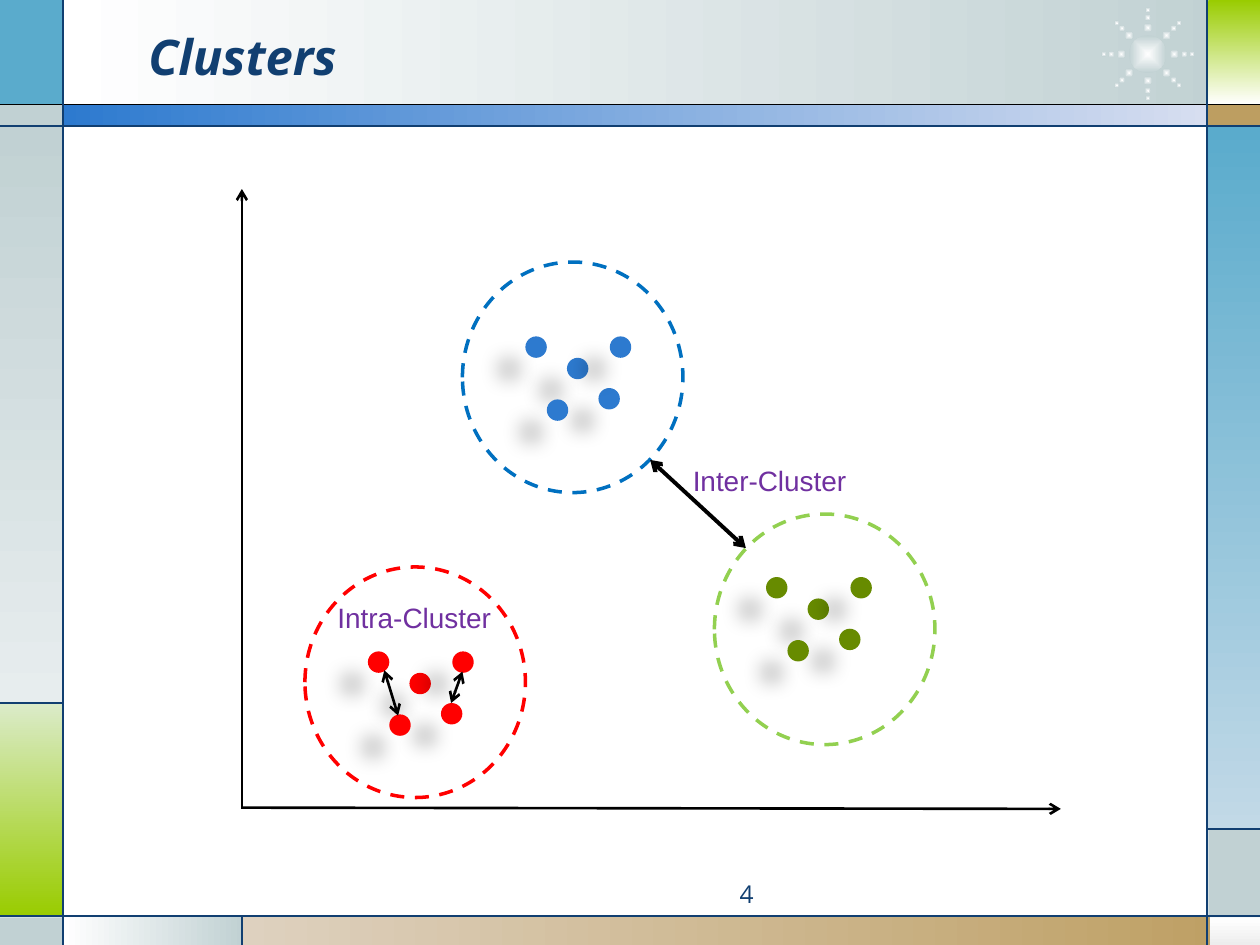
import math
from lxml import etree
from pptx import Presentation
from pptx.dml.color import RGBColor
from pptx.enum import dml, shapes, text
from pptx.oxml import ns
from pptx.util import Inches, Pt

presentation = Presentation()
presentation.slide_width, presentation.slide_height = Inches(10), Inches(7.5)
slide = presentation.slides.add_slide(presentation.slide_layouts[6])

NAVY, BLACK, PURPLE = "113F71", "000000", "7030A0"
WHITE, GREY = "FFFFFF", "C1D1D3"
SKY, LIME, TAN = "5AABCC", "99CC00", "BD9E61"


def color(value):
    return RGBColor.from_string(value)


def add_text(content, left, top, width, height, size, hue, font="Arial", bold=False,
             italic=False, align=text.PP_ALIGN.LEFT, anchor=text.MSO_ANCHOR.TOP, wrap=True):
    frame = slide.shapes.add_textbox(Inches(left), Inches(top), Inches(width), Inches(height)).text_frame
    frame.word_wrap = wrap
    frame.vertical_anchor = anchor
    paragraph = frame.paragraphs[0]
    paragraph.alignment = align
    run = paragraph.add_run()
    run.text = content
    run.font.name, run.font.size = font, Pt(size)
    run.font.bold, run.font.italic = bold, italic
    run.font.color.rgb = color(hue)


# Frame panels: left, top, width, height, colours, gradient angle
panels = [
    (0.5, 0, 9.27, 0.84, [WHITE, GREY], 0),
    (0, 0, 0.5, 0.84, [SKY], 0),
    (0, 0.83, 0.5, 0.17, [GREY], 0),
    (0, 1, 0.5, 4.58, [GREY, "E7EDEE"], 270),
    (0, 5.58, 0.5, 1.69, ["DBEBC9", LIME], 270),
    (0, 7.28, 0.5, 0.22, [GREY], 0),
    (0.5, 7.27, 1.43, 0.23, [WHITE, GREY], 0),
    (1.92, 7.27, 8.08, 0.23, ["DED1BF", TAN], 0),
    (9.6, 7.28, 0.4, 0.22, [WHITE, "EDEDED"], 270),
    (9.59, 6.58, 0.41, 0.7, [GREY], 0),
    (9.58, 1, 0.42, 5.58, [SKY, "C2D9E7"], 270),
    (9.58, 0.83, 0.42, 0.17, [TAN], 0),
    (9.59, 0, 0.41, 0.83, [LIME, WHITE], 270),
    (0.5, 0.83, 9.09, 0.17, ["2D7ACF", "D7DEF0"], 0),
]
figures = [(shapes.MSO_SHAPE.RECTANGLE, *panel) for panel in panels]

# Sparkle: a centre and eight rays of three shrinking beads
center_x, center_y = 9.11, 0.43
beads = [(0, 0, 0.3)]
for ray in range(8):
    for radius, size in [(0.29, 0.05), (0.35, 0.04), (0.21, 0.07)]:
        angle = math.radians(45 * ray)
        beads.append((radius * math.cos(angle), radius * math.sin(angle), size))
for x, y, size in beads:
    figures.append((shapes.MSO_SHAPE.OVAL, center_x + x - size / 2, center_y + y - size / 2,
                    size, size, [WHITE, GREY], None))

# Clusters: dots first, then the dashed rings
dot_offsets = [(0.58, 0.41), (0, 0), (0.33, 0.17), (0.17, 0.5), (0.67, 0)]
clusters = [
    (4.17, 2.67, "2D7ACF", 3.67, 2.08, "0070C0"),
    (2.92, 5.17, "FF0000", 2.42, 4.5, "FF0000"),
    (6.08, 4.58, "678B00", 5.67, 4.08, "92D050"),
]
dots = [(shapes.MSO_SHAPE.OVAL, left + x, top + y, 0.17, 0.17, [fill], 0)
        for left, top, fill, *ring in clusters for x, y in dot_offsets]

# Frame lines, axes and distance arrows: x1, y1, x2, y2, colour, width, arrow ends
frame_lines = [
    (0, 0.83, 10, 0.83, BLACK, 0.75, []),
    *[(*ends, NAVY, 0.75, []) for ends in [
        (0, 1, 10, 1), (0, 7.27, 10, 7.27), (0.5, 0, 0.5, 7.5), (9.58, 0, 9.58, 7.5),
        (0.5, 5.58, 0, 5.58), (1.92, 7.27, 1.92, 7.5), (9.58, 6.58, 10, 6.58)]],
]
axes = [(1.92, 6.41, 8.42, 6.42, BLACK, 1.5, ["tailEnd"]),
        (1.92, 6.42, 1.92, 1.5, BLACK, 1.5, ["tailEnd"])]
both = ["headEnd", "tailEnd"]
distances = [(3.05, 5.32, 3.16, 5.68, BLACK, 1.5, both),
             (3.67, 5.33, 3.58, 5.58, BLACK, 1.5, both),
             (5.16, 3.65, 5.92, 4.35, BLACK, 2.25, both)]


def add_lines(lines):
    for x1, y1, x2, y2, hue, width, ends in lines:
        line = slide.shapes.add_connector(shapes.MSO_CONNECTOR.STRAIGHT,
                                          Inches(x1), Inches(y1), Inches(x2), Inches(y2))
        line.line.color.rgb = color(hue)
        line.line.width = Pt(width)
        for end in ends:
            etree.SubElement(line.line._get_or_add_ln(), ns.qn("a:" + end), type="arrow")
        etree.SubElement(line.element.spPr, ns.qn("a:effectLst"))


# Filled shapes, with lines and title between the frame and the dots
for figure in figures + dots:
    if figure is dots[0]:
        add_lines(frame_lines)
        add_text("Clusters", 1.08, 0.13, 7.33, 0.62, 28, NAVY, font="Open Sans",
                 bold=True, italic=True, anchor=text.MSO_ANCHOR.MIDDLE)
        add_text("4", 3.75, 6.93, 2.33, 0.27, 14, NAVY, font="Open Sans",
                 align=text.PP_ALIGN.RIGHT)
        add_lines(axes)
    kind, left, top, width, height, hues, angle = figure
    shape = slide.shapes.add_shape(kind, Inches(left), Inches(top), Inches(width), Inches(height))
    shape.shadow.inherit = False
    shape.line.fill.background()
    properties = shape.element.spPr
    if len(hues) == 1:
        shape.fill.solid()
        shape.fill.fore_color.rgb = color(hues[0])
    else:
        shape.fill.gradient()
        for stop, hue, position in zip(shape.fill.gradient_stops, hues, (0, 1)):
            stop.color.rgb = color(hue)
            stop.position = position
        if angle is None:
            linear = properties.find(".//" + ns.qn("a:lin"))
            radial = etree.Element(ns.qn("a:path"), path="shape")
            etree.SubElement(radial, ns.qn("a:fillToRect"), l="50000", t="50000", r="50000", b="50000")
            linear.getparent().replace(linear, radial)
        else:
            shape.fill.gradient_angle = angle
    if figure in dots:
        shadow = etree.SubElement(properties.find(ns.qn("a:effectLst")), ns.qn("a:outerShdw"),
                                  blurRad=str(Pt(11.8)), dist=str(Pt(19.7)),
                                  dir=str(141 * 60000), rotWithShape="0")
        shade = etree.SubElement(shadow, ns.qn("a:srgbClr"), val=BLACK)
        etree.SubElement(shade, ns.qn("a:alpha"), val="28000")

for *dot, left, top, hue in clusters:
    ring = slide.shapes.add_shape(shapes.MSO_SHAPE.OVAL, Inches(left), Inches(top), Inches(1.75), Inches(1.83))
    ring.shadow.inherit = False
    ring.fill.background()
    ring.line.color.rgb = color(hue)
    ring.line.width = Pt(2)
    ring.line.dash_style = dml.MSO_LINE.DASH

# Distance arrows and their labels
add_lines(distances)
for label, left, top in [("Inter-Cluster", 5.4, 3.63), ("Intra-Cluster", 2.58, 4.72)]:
    add_text(label, left, top, 1.44, 0.37, 16, PURPLE, wrap=False)

presentation.save("out.pptx")
